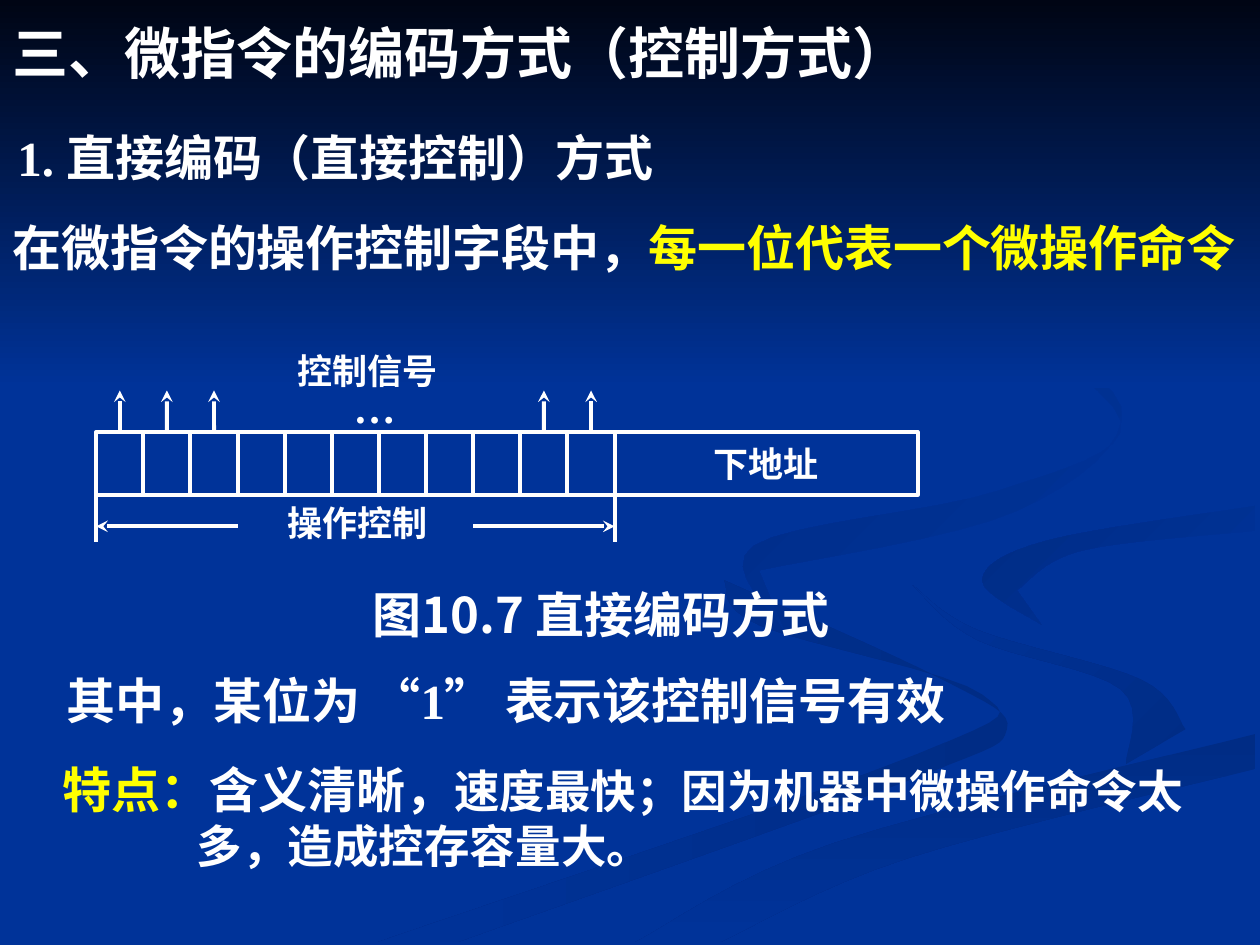
from dataclasses import dataclass
from lxml.etree import SubElement
from pptx import Presentation
from pptx.dml.color import RGBColor as Rgb
from pptx.enum.shapes import MSO_CONNECTOR as Link, MSO_SHAPE as Kind
from pptx.enum.text import MSO_ANCHOR as Anchor, MSO_AUTO_SIZE as Fit, PP_ALIGN as Align
from pptx.oxml.ns import qn
from pptx.util import Cm, Pt


@dataclass(frozen=True)
class Theme:
    white: str = "FFFFFF"
    gold: str = "FFFF00"
    blue: str = "003399"
    shade: str = "002C85"
    night: str = "000514"
    serif: str = "Times New Roman"
    sans: str = "DejaVu Sans"
    han: str = "Noto Sans CJK SC"
    title: int = 32
    body: int = 28
    note: int = 26
    dots: int = 24
    label: int = 20
    line: float = 2.25


T = Theme()

# Background ribbons in cm: start colour, end colour, angle, the two edges
RIBBONS = [
    (T.shade, T.blue, 180,
     [(14.6, 11.7), (15.3, 12.6), (19.8, 14), (18.5, 15.2), (7.6, 19)],
     [(9.2, 19), (18.4, 15.7), (20.3, 14.7), (19, 13.7), (14.6, 11.7)]),
    (T.shade, T.blue, 225,
     [(18.4, 11.8), (19.7, 12.9), (22.6, 13.9), (22.7, 15.4)],
     [(23.9, 14.7), (23, 13.7), (19.7, 12.7), (18.4, 11.8)]),
    (T.shade, T.blue, 90,
     [(12.8, 19), (16.8, 17), (25.3, 14.8)],
     [(25.3, 15.5), (18.3, 17.3), (14.5, 19)]),
    (T.blue, T.shade, 225,
     [(25.3, 10.2), (21.1, 10.9), (19.8, 11.7), (21, 12.6)],
     [(20.5, 11.9), (21.8, 11.1), (25.3, 10.7)]),
    (T.blue, T.shade, 225,
     [(19.4, 5.9), (22.6, 8.5), (20.1, 9.9), (15.2, 11), (15.8, 12.7)],
     [(15.3, 11.5), (20.5, 10.3), (22.6, 8.2), (19.4, 5.9)]),
]


def curve(points, steps=8):
    """Smooth line through the points (Catmull-Rom)."""
    ring = [points[0], *points, points[-1]]
    for four in zip(ring, ring[1:], ring[2:], ring[3:]):
        for n in range(steps):
            t = n / steps
            yield tuple(b + t * (c - a + t * (2 * a - 5 * b + 4 * c - d
                        + t * (3 * b - a - 3 * c + d))) / 2
                        for a, b, c, d in zip(*four))
    yield points[-1]


def paint(shape, start, end, angle):
    """Fill a shape with a gradient, angle clockwise."""
    shape.shadow.inherit = False
    shape.line.fill.background()
    shape.fill.gradient()
    shape.fill.gradient_angle = 360 - angle
    for stop, tint in zip(shape.fill.gradient_stops, (start, end)):
        stop.color.rgb = Rgb.from_string(tint)


def style(run, size, font, tint=T.white):
    run.font.size, run.font.bold, run.font.name = Pt(size), True, font
    run.font.color.rgb = Rgb.from_string(tint)
    SubElement(run._r.get_or_add_rPr(), qn("a:ea")).set("typeface", T.han)


def write(par, parts):
    """Add runs given as (text, size, font, colour)."""
    for words, *look in parts:
        run = par.add_run()
        run.text = words
        style(run, *look)


def text(slide, box, parts, wrap=True, align=Align.LEFT):
    frame = slide.shapes.add_textbox(*map(Cm, box)).text_frame
    frame.word_wrap = wrap
    frame.paragraphs[0].alignment = align
    write(frame.paragraphs[0], parts)
    return frame


def line(slide, start, end, arrow=False):
    link = slide.shapes.add_connector(Link.STRAIGHT, *map(Cm, (*start, *end)))
    link.line.color.rgb = Rgb.from_string(T.white)
    link.line.width = Pt(T.line)
    if arrow:
        SubElement(link.line._get_or_add_ln(), qn("a:tailEnd")).set("type", "stealth")
    SubElement(link._element.spPr, qn("a:effectLst"))
    return link


def cell(slide, box):
    shape = slide.shapes.add_shape(Kind.RECTANGLE, *map(Cm, box))
    shape.shadow.inherit = False
    shape.fill.background()
    shape.line.color.rgb = Rgb.from_string(T.white)
    shape.line.width = Pt(T.line)
    return shape


def backdrop(slide, box):
    back = slide.background.fill
    back.solid()
    back.fore_color.rgb = Rgb.from_string(T.blue)
    for start, end, angle, there, home in RIBBONS:
        first, *rest = [(Cm(x), Cm(y)) for edge in (there, home) for x, y in curve(edge)]
        pen = slide.shapes.build_freeform(*first)
        pen.add_line_segments(rest, close=True)
        paint(pen.convert_to_shape(), start, end, angle)
    paint(slide.shapes.add_shape(Kind.RECTANGLE, *map(Cm, box)), T.night, T.blue, 90)


def heading(slide, box):
    title = slide.shapes.title
    title._element.getparent().append(title._element)  # in front of the backdrop
    title.left, title.top, title.width, title.height = map(Cm, box)
    frame = title.text_frame
    frame.text = "三、微指令的编码方式（控制方式）"
    frame.auto_size, frame.vertical_anchor = Fit.NONE, Anchor.TOP
    frame.paragraphs[0].alignment = Align.LEFT
    style(frame.paragraphs[0].runs[0], T.title, T.sans)


def diagram(slide, box):
    """Microinstruction word: control bits, then the next address."""
    x, y, wide, high = box
    count, step = 11, 0.95
    end, base = x + count * step, y + high

    # Bit cells and address field
    bits = [cell(slide, (x + i * step, y, step, high)) for i in range(count)]
    field = cell(slide, (end, y, wide - count * step, high)).text_frame
    field.word_wrap, field.vertical_anchor = False, Anchor.MIDDLE
    field.paragraphs[0].alignment = Align.CENTER
    write(field.paragraphs[0], [("下地址", T.label, T.serif)])

    # Control signals leaving the first three and last two bits
    for i in (0, 1, 2, count - 2, count - 1):
        mid = x + (i + 0.5) * step
        line(slide, (mid, y), (mid, y - 0.84), True).begin_connect(bits[i], 0)
    text(slide, (x + 4.94, y - 1.14, 1.35, 1.27), [("…", T.dots, T.serif)], False)
    text(slide, (x + 3.8, y - 1.78, 3.33, 1.12), [("控制信号", T.label, T.serif)], False)

    # Span of the control field
    for edge, inner in ((x, x + 3 * step), (end, end - 3 * step)):
        line(slide, (edge, base), (edge, base + 0.94))
        line(slide, (inner, base + 0.63), (edge, base + 0.63), True)
    text(slide, (x + 3.6, base, 3.33, 1.12), [("操作控制", T.label, T.serif)], False)


def intro(slide, box):
    x, y, wide, high = box
    text(slide, (x + 0.1, y, wide - 5.8, high),
         [("1. ", T.body, T.serif), ("直接编码（直接控制）方式", T.body, T.sans)])
    text(slide, (x, y + 1.83, wide, high),
         [("在微指令的操作控制字段中，", T.body, T.sans),
          ("每一位代表一个微操作命令", T.body, T.sans, T.gold)])


def remarks(slide, box):
    x, y, wide, high = box
    text(slide, (x + 2.51, y, 17.17, high),
         [("图10.7 直接编码方式", T.body, T.han)], align=Align.CENTER)
    text(slide, (x + 0.08, y + 1.73, 20.37, high),
         [("其中，某位为 “1” 表示该控制信号有效", T.body, T.serif)])
    frame = text(slide, (x, y + 3.53, wide, 2.54),
                 [("特点：", T.body, T.serif, T.gold), ("含义清晰，", T.body, T.serif),
                  ("速度最快；因为机器中微操作命令太", T.note, T.serif)])
    more = frame.add_paragraph()
    more._p.get_or_add_pPr().set("marL", str(Cm(2.7)))
    write(more, [("多，造成控存容量大。", T.note, T.serif)])


def main():
    deck = Presentation()
    deck.slide_width, deck.slide_height = Cm(25.4), Cm(19.05)
    slide = deck.slides.add_slide(deck.slide_layouts[5])
    backdrop(slide, (0, 0, 25.4, 7.82))
    heading(slide, (0, 0.25, 22.3, 1.63))
    intro(slide, (0, 2.44, 25.4, 1.45))
    diagram(slide, (1.94, 8.71, 16.56, 1.27))
    remarks(slide, (1.02, 11.66, 23.85, 1.45))
    deck.save("out.pptx")


if __name__ == "__main__":
    main()
